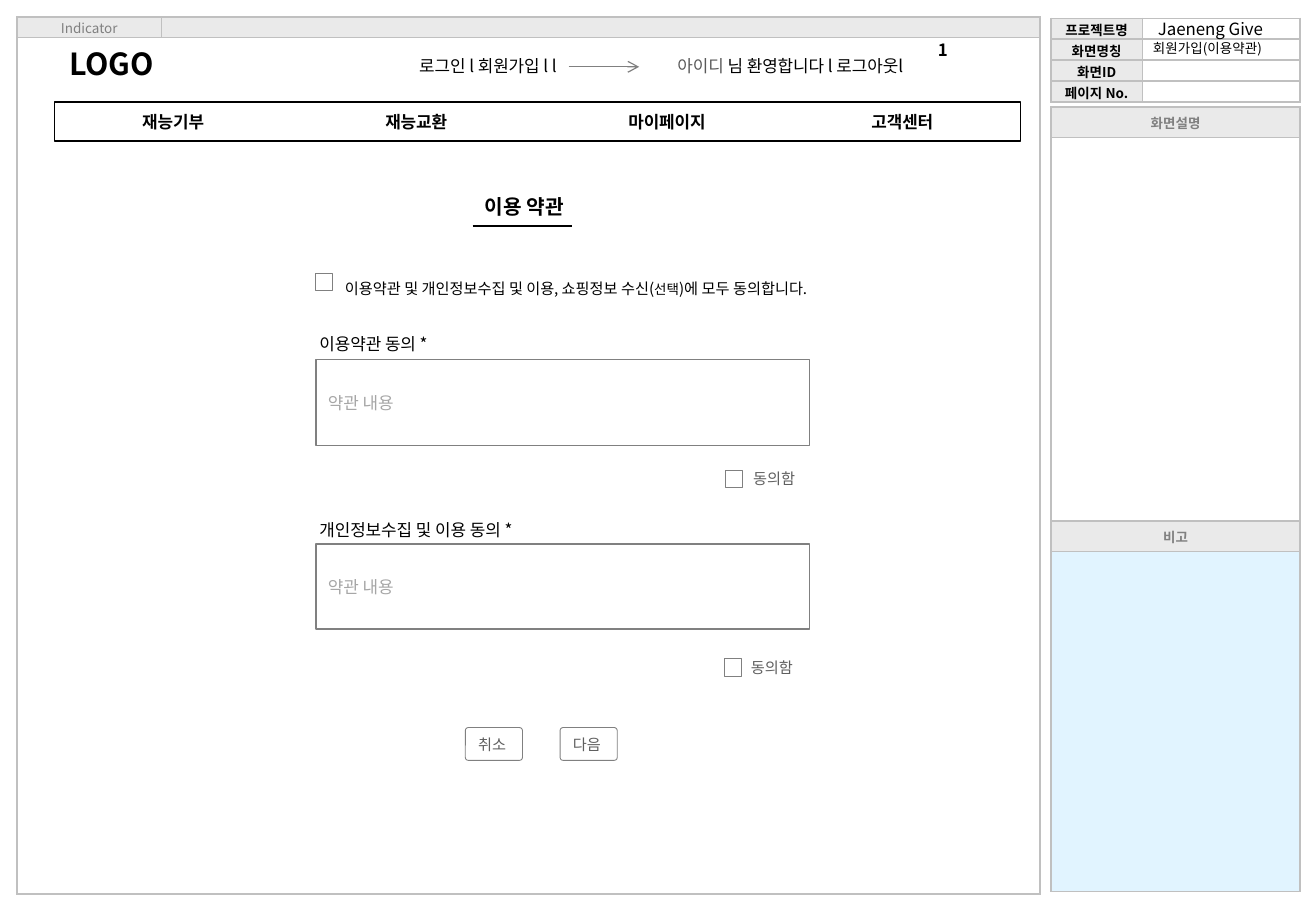
from pptx import Presentation
from pptx.dml.color import RGBColor
from pptx.enum.shapes import MSO_CONNECTOR, MSO_SHAPE
from pptx.enum.text import MSO_ANCHOR, PP_ALIGN
from pptx.oxml.ns import qn
from pptx.util import Inches, Pt
from lxml import etree

FONT = "Noto Sans CJK KR"
LEFT, CENTER, RIGHT = PP_ALIGN.LEFT, PP_ALIGN.CENTER, PP_ALIGN.RIGHT
TOP, MIDDLE, BOTTOM = MSO_ANCHOR.TOP, MSO_ANCHOR.MIDDLE, MSO_ANCHOR.BOTTOM
RECT, ROUND = MSO_SHAPE.RECTANGLE, MSO_SHAPE.ROUNDED_RECTANGLE
BLACK, WHITE, GRAY, DARK = "000000", "FFFFFF", "808080", "5F5F5F"
HEAD, BORDER, NOTE, HINT = "EAEAEA", "C0C0C0", "E1F4FF", "A6A6A6"


def color(value):
    return RGBColor.from_string(value)


def write(frame, spans, align=LEFT, anchor=TOP, spacing=None):
    frame.word_wrap = False
    frame.vertical_anchor = anchor
    para = frame.paragraphs[0]
    for name, value in {"alignment": align, "line_spacing": spacing}.items():
        setattr(para, name, value)
    for text, size, tint, bold in spans:
        span = para.add_run()
        span.text = text
        for name, value in {"size": Pt(size), "bold": bold, "name": FONT}.items():
            setattr(span.font, name, value)
        span.font.color.rgb = color(tint)
        etree.SubElement(span.font._element, qn("a:ea"), typeface=FONT)
    return para


deck = Presentation()
deck.slide_width, deck.slide_height = Inches(10.83), Inches(7.5)
page = deck.slides.add_slide(deck.slide_layouts[6])
shapes = page.shapes

labels = ["프로젝트명", "화면명칭", "화면ID", "페이지 No."]
tables = [
    (0.14, 0.14, [1.19, 7.23], [0.17, 7.05], MIDDLE,
     [[("Indicator", GRAY, False, HEAD), ("", GRAY, False, HEAD)],
      [("", GRAY, False, WHITE)] * 2]),
    (8.65, 0.15, [0.75, 1.3], [0.69 / 4] * 4, BOTTOM,
     [[(label, BLACK, True, HEAD), ("", BLACK, False, WHITE)] for label in labels]),
    (8.65, 0.88, [2.05], [0.25, 3.16, 0.25, 2.8], MIDDLE,
     [[("화면설명", GRAY, True, HEAD)], [("", GRAY, False, WHITE)],
      [("비고", GRAY, True, HEAD)], [("", GRAY, False, NOTE)]]),
]
for left, top, widths, heights, anchor, rows in tables:
    table = shapes.add_table(len(heights), len(widths), Inches(left), Inches(top),
                             Inches(sum(widths)), Inches(sum(heights))).table
    table.first_row = table.horz_banding = False
    for column, width in zip(table.columns, widths):
        column.width = Inches(width)
    for row, height, values in zip(table.rows, heights, rows):
        row.height = Inches(height)
        for cell, (text, tint, bold, fill) in zip(row.cells, values):
            for side in ("left", "right", "top", "bottom"):
                setattr(cell, "margin_" + side, 0)
            if text:
                write(cell.text_frame, [(text, 8, tint, bold)], CENTER)
            else:
                etree.SubElement(cell.text_frame.paragraphs[0]._p, qn("a:endParaRPr"), sz="800")
            cell.vertical_anchor = anchor
            properties = cell._tc.get_or_add_tcPr()
            for side in ("lnL", "lnR", "lnT", "lnB"):
                edge = etree.SubElement(properties, qn("a:" + side), w=str(Pt(1)))
                solid = etree.SubElement(edge, qn("a:solidFill"))
                etree.SubElement(solid, qn("a:srgbClr"), val=BORDER)
            cell.fill.solid()
            cell.fill.fore_color.rgb = color(fill)
    if len(widths) == len(heights):
        table.cell(1, 0).merge(table.cell(1, 1))

menu = "\t\t".join(["재능기부", "재능교환", "마이페이지", "고객센터"])
blocks = [
    (RECT, 9.43, 0.18, 1.18, 0.11, None, "Jaeneng Give", 10, BLACK, False, LEFT),
    (RECT, 0.45, 0.84, 7.95, 0.32, 0.75, menu, 10, BLACK, True, CENTER),
    (RECT, 2.6, 2.25, 0.14, 0.14, 0.5, "", 9, DARK, False, LEFT),
    (RECT, 2.6, 2.96, 4.06, 0.71, 0.75, "약관 내용", 10, HINT, False, LEFT),
    (RECT, 5.97, 3.87, 0.14, 0.14, 0.5, "", 9, DARK, False, LEFT),
    (RECT, 2.6, 4.48, 4.06, 0.7, 0.75, "약관 내용", 10, HINT, False, LEFT),
    (RECT, 5.96, 5.42, 0.14, 0.15, 0.5, "", 9, DARK, False, LEFT),
    (ROUND, 3.83, 5.99, 0.47, 0.27, 0.5, "취소", 9, DARK, False, LEFT),
    (ROUND, 4.61, 5.99, 0.47, 0.27, 0.5, "다음", 9, DARK, False, LEFT),
]
for kind, left, top, width, height, weight, text, size, tint, bold, align in blocks:
    box = shapes.add_shape(kind, Inches(left), Inches(top), Inches(width), Inches(height))
    box.shadow.inherit = False
    box.fill.solid()
    box.fill.fore_color.rgb = color(WHITE)
    if weight:
        box.line.width = Pt(weight)
        box.line.color.rgb = color(BLACK if text == menu else GRAY)
    else:
        box.line.fill.background()
    if kind == ROUND:
        box.adjustments[0] = 0.09
    if text:
        para = write(box.text_frame, [(text, size, tint, bold)], align, MIDDLE)
    if text == menu:
        stops = etree.SubElement(para._p.get_or_add_pPr(), qn("a:tabLst"))
        for inch in range(1, 8):
            etree.SubElement(stops, qn("a:tab"), pos=str(Inches(inch)), algn="l")

texts = [
    (9.39, 0.28, 1.37, 0.24, [("회원가입(이용약관)", 8, BLACK, False)], LEFT, MIDDLE, None),
    (3.16, 0.41, 1.52, 0.27, [("로그인 l 회원가입 l l", 10, BLACK, False)], RIGHT, TOP, None),
    (0.47, 0.32, 1.05, 0.4, [("LOGO", 18, BLACK, True)], LEFT, TOP, None),
    (7.62, 0.28, 0.32, 0.27, [("1", 10, BLACK, True)], LEFT, TOP, None),
    (5.15, 0.41, 2.38, 0.27, [("아이디 ", 10, "595959", False),
                              ("님 환영합니다 l 로그아웃l", 10, BLACK, False)], RIGHT, TOP, None),
    (3.89, 1.55, 0.93, 0.3, [("이용 약관", 12, BLACK, True)], LEFT, TOP, None),
    (2.74, 2.1, 4.44, 0.4, [("이용약관 및 개인정보수집 및 이용, 쇼핑정보 수신(", 9, BLACK, False),
                            ("선택", 8, BLACK, False),
                            (")에 모두 동의합니다.", 9, BLACK, False)], LEFT, TOP, 2.0),
    (2.53, 2.53, 1.21, 0.44, [("이용약관 동의 *", 10, BLACK, False)], LEFT, TOP, 2.0),
    (2.53, 4.06, 2, 0.44, [("개인정보수집 및 이용 동의 *", 10, BLACK, False)], LEFT, TOP, 2.0),
    (6.1, 3.82, 0.58, 0.23, [("동의함", 9, DARK, False)], LEFT, MIDDLE, None),
    (6.08, 5.38, 0.58, 0.23, [("동의함", 9, DARK, False)], LEFT, MIDDLE, None),
]
for left, top, width, height, spans, align, anchor, spacing in texts:
    box = shapes.add_textbox(Inches(left), Inches(top), Inches(width), Inches(height))
    write(box.text_frame, spans, align, anchor, spacing)

lines = [(3.89, 4.71, 1.86, BLACK, 1.5, None), (4.68, 5.26, 0.55, GRAY, 0.75, "arrow")]
for start, end, level, tint, weight, tail in lines:
    line = shapes.add_connector(MSO_CONNECTOR.STRAIGHT, Inches(start), Inches(level),
                                Inches(end), Inches(level))
    line.line.color.rgb = color(tint)
    line.line.width = Pt(weight)
    if tail:
        etree.SubElement(line.line._get_or_add_ln(), qn("a:tailEnd"), type=tail)
    etree.SubElement(line._element.spPr, qn("a:effectLst"))

deck.save("out.pptx")
